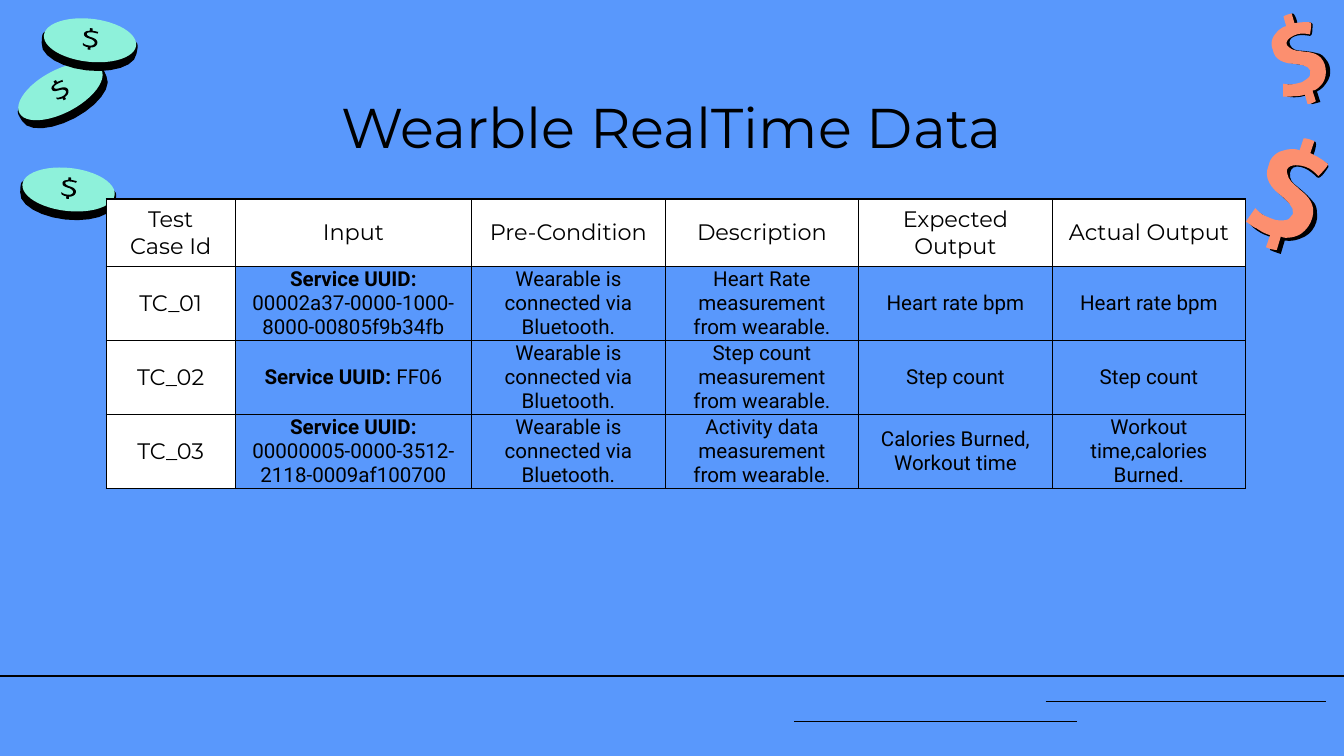
"""Build the wearable real-time data test case slide."""
from math import cos, radians, sin

from lxml import etree
from pptx import Presentation
from pptx.dml.color import RGBColor
from pptx.enum.shapes import MSO_CONNECTOR, MSO_SHAPE
from pptx.enum.text import MSO_ANCHOR, PP_ALIGN
from pptx.oxml.ns import qn
from pptx.util import Inches, Pt

CENTER, MIDDLE, TOP = PP_ALIGN.CENTER, MSO_ANCHOR.MIDDLE, MSO_ANCHOR.TOP
STRAIGHT, OVAL = MSO_CONNECTOR.STRAIGHT, MSO_SHAPE.OVAL
BLUE = RGBColor(0x59, 0x98, 0xFC)
MINT = RGBColor(0x8E, 0xF1, 0xDA)
CORAL = RGBColor(0xFC, 0x8F, 0x6F)
BLACK = RGBColor(0, 0, 0)
WHITE = RGBColor(255, 255, 255)

TITLE = "Wearble RealTime Data"
HEADERS = ["Test Case Id", "Input", "Pre-Condition", "Description", "Expected Output", "Actual Output"]
UUID_LABEL = "Service UUID: "
CONDITION = "Wearable is connected via Bluetooth."
CASES = [
    ("TC_01", "00002a37-0000-1000-8000-00805f9b34fb", CONDITION,
     "Heart Rate measurement from wearable.", "Heart rate bpm", "Heart rate bpm"),
    ("TC_02", "FF06", CONDITION,
     "Step count measurement from wearable.", "Step count", "Step count"),
    ("TC_03", "00000005-0000-3512-2118-0009af100700", CONDITION,
     "Activity data measurement from wearable.", "Calories Burned,\nWorkout time",
     "Workout time,calories Burned."),
]
COLUMN_WIDTHS = [0.96, 1.76] + [1.44] * 4
ROW_HEIGHTS = [0.47, 0.38, 0.41, 0.38]

RULES = [(0, 10, 5.03), (7.78, 9.87, 5.22), (5.91, 8.01, 5.37)]
COINS = [(0.45, 0.68, -27.9), (0.51, 1.41, 6.4), (0.67, 0.3, 6.4)]
DOLLARS = [(9.58, 1.45, 0, 1), (9.66, 0.45, -34.5, 0.79)]

COIN_EDGE = [
    (0, -10), (-14, -9.5, -28, -9, -34, -2), (-36, -1, -35, 4, -35, 6),
    (-35, 15, -19, 22, 0, 22), (19, 22, 35, 15, 35, 6),
    (35, 4, 36, -1, 34, -2), (28, -9, 14, -9.5, 0, -10),
]
COIN_SIGN = [
    (-1, -9), (-1, -7), (-4, -6.6, -5, -5.5, -5, -4.3), (-5, -2.5, -3.6, -1.6, 0.5, -1),
    (2.6, -0.3, 3.7, 0.6, 3.7, 1.6), (3.7, 3, 2, 4, 0, 4), (-2, 4, -4, 3.5, -5, 2.6),
    (-5, 4), (-4, 4.8, -2.5, 5.2, -1, 5.3), (-1, 7), (1, 7), (1, 5.3),
    (4, 5, 5.5, 3.5, 5.7, 1.4), (5.7, -0.4, 4, -1.6, 1.4, -2.2),
    (-1.5, -2.8, -3, -3.3, -2.9, -4.7), (-2.8, -5.6, -1, -6, 0.9, -6),
    (2.5, -6, 4, -5.8, 5, -5.5), (5.4, -6.8), (4, -7, 2.5, -7.2, 1, -7.3), (1, -9),
]
DOLLAR_FACE = [
    (12, -42), (9, -33), (7, -34, 5, -34, 3, -34), (0, -34, -3, -33, -6, -32),
    (-10, -30, -13, -27, -14, -22), (-17, -15, -15, -9, -9, -3), (-5, 1, 11, 11, 1, 18),
    (-1, 19, -3, 19, -4, 19), (-7, 19, -9, 19, -11, 18), (-14, 17, -16, 16, -18, 15),
    (-20, 14, -22, 12, -24, 10), (-31, 20), (-29, 21, -26, 24, -23, 25),
    (-20, 27, -17, 29, -13, 30), (-16, 39), (-14, 40, -11, 41, -8, 41), (-5, 31),
    (-3, 32, -2, 32, -1, 32), (3, 32, 7, 31, 10, 29), (16, 25, 20, 17, 19, 10),
    (18, 4, 14, 0, 9, -4), (6, -7, 1, -10, 0, -15), (-2, -20, 2, -22, 6, -22),
    (15, -22, 19, -18, 23, -14), (24, -15, 31, -22, 30, -23), (25, -27, 21, -29, 17, -31),
    (20, -40), (17, -41, 15, -42, 12, -42),
]
DOLLAR_SHADE = [
    (15, -40), (12, -31), (10, -31, 6, -32, 5, -32), (2, -32, 0, -31, -3, -30),
    (-9, -27, -13, -20, -13, -14), (-12, -3, -2, 2, 4, 9), (8, 15, 4, 21, -1, 21),
    (-9, 21, -16, 17, -21, 13), (-28, 22), (-23, 27, -18, 30, -10, 32), (-13, 41),
    (-11, 42, -8, 43, -5, 44), (-2, 34), (4, 35, 9, 33, 13, 31), (19, 28, 23, 20, 22, 14),
    (22, 10, 21, 7, 19, 5), (15, 0, 10, -4, 5, -8), (0, -12, 1, -21, 7, -21),
    (13, -21, 18, -17, 22, -13), (24, -11, 28, -17, 30, -20), (31, -21, 30, -22, 30, -23),
    (27, -25, 23, -27, 19, -29), (20, -31, 22, -37, 21, -39), (21, -40, 17, -40, 15, -40),
]


def flatten(outline, steps=6):
    """Turn lines (pairs) and cubic curves (sixes) into a list of points."""
    points = []
    for part in outline:
        if len(part) == 2:
            points.append(part)
            continue
        (x0, y0), (x1, y1, x2, y2, x3, y3) = points[-1], part
        for step in range(1, steps + 1):
            t = step / steps
            a, b, c, d = (1 - t) ** 3, 3 * t * (1 - t) ** 2, 3 * t * t * (1 - t), t ** 3
            points.append((a * x0 + b * x1 + c * x2 + d * x3, a * y0 + b * y1 + c * y2 + d * y3))
    return points


def paint(shape, color, outlined=False):
    """Give a shape a flat fill and an optional black line."""
    shape.shadow.inherit = False
    shape.fill.solid()
    shape.fill.fore_color.rgb = color
    if outlined:
        shape.line.color.rgb = BLACK
        shape.line.width = Pt(0.75)
    else:
        shape.line.fill.background()


def draw_outline(slide, outline, x, y, angle, color, scale=1, outlined=False):
    """Draw an outline, in hundredths of an inch, turned about the point x, y."""
    points = [(Inches(px * scale / 100), Inches(py * scale / 100)) for px, py in flatten(outline)]
    builder = slide.shapes.build_freeform(*points[0])
    builder.add_line_segments(points[1:], close=True)
    shape = builder.convert_to_shape()
    dx, dy = shape.left + shape.width / 2, shape.top + shape.height / 2
    c, s = cos(radians(angle)), sin(radians(angle))
    shape.left = int(Inches(x) + dx * c - dy * s - shape.width / 2)
    shape.top = int(Inches(y) + dx * s + dy * c - shape.height / 2)
    shape.rotation = angle
    paint(shape, color, outlined)


def style(paragraph, font, size):
    """Set centred black type on a paragraph."""
    paragraph.alignment = CENTER
    paragraph.font.name = font
    paragraph.font.size = Pt(size)
    paragraph.font.color.rgb = BLACK


def add_borders(cell):
    """Put thin black borders round a cell, ahead of its fill."""
    properties = cell._tc.get_or_add_tcPr()
    for index, side in enumerate(("a:lnL", "a:lnR", "a:lnT", "a:lnB")):
        border = etree.Element(qn(side), w=str(Pt(0.75)))
        fill = etree.SubElement(border, qn("a:solidFill"))
        etree.SubElement(fill, qn("a:srgbClr"), val=str(BLACK))
        properties.insert(index, border)


def add_cases(slide):
    """Add the table of test cases."""
    rows = [HEADERS] + CASES
    table = slide.shapes.add_table(
        len(rows), len(HEADERS), Inches(0.79), Inches(1.48),
        Inches(sum(COLUMN_WIDTHS)), Inches(sum(ROW_HEIGHTS))).table
    table.first_row = table.horz_banding = False
    for column, width in zip(table.columns, COLUMN_WIDTHS):
        column.width = Inches(width)
    for r, texts in enumerate(rows):
        table.rows[r].height = Inches(ROW_HEIGHTS[r])
        for c, text in enumerate(texts):
            cell = table.cell(r, c)
            heading = r == 0 or c == 0
            cell.vertical_anchor = MIDDLE
            cell.margin_left = cell.margin_right = Inches(0.1)
            cell.margin_top = cell.margin_bottom = Inches(0.05 if r == 0 else 0)
            if heading:
                cell.fill.solid()
                cell.fill.fore_color.rgb = WHITE
            else:
                cell.fill.background()
            if r and c == 1:
                label = cell.text_frame.paragraphs[0].add_run()
                label.text, label.font.bold = UUID_LABEL, True
                cell.text_frame.paragraphs[0].add_run().text = text
            else:
                cell.text_frame.text = text
            for paragraph in cell.text_frame.paragraphs:
                style(paragraph, *(("Montserrat", 12) if heading else ("Roboto", 11)))
            add_borders(cell)


def main():
    """Compose and save the slide."""
    deck = Presentation()
    deck.slide_width, deck.slide_height = Inches(10), Inches(10 * 9 / 16)
    slide = deck.slides.add_slide(deck.slide_layouts[6])
    slide.background.fill.solid()
    slide.background.fill.fore_color.rgb = BLUE

    for start, end, y in RULES:
        rule = slide.shapes.add_connector(STRAIGHT, Inches(start), Inches(y), Inches(end), Inches(y))
        rule.line.color.rgb = BLACK
        rule.line.width = Pt(0.75)
        etree.SubElement(rule._element.spPr, qn("a:effectLst"))

    for x, y, angle in COINS:
        draw_outline(slide, COIN_EDGE, x, y, angle, BLACK, outlined=True)
        face = slide.shapes.add_shape(
            OVAL, Inches(x - 0.69 / 2), Inches(y - 0.32 / 2), Inches(0.69), Inches(0.32))
        face.rotation = angle
        paint(face, MINT)
        draw_outline(slide, COIN_SIGN, x, y, angle, BLACK)

    for x, y, angle, scale in DOLLARS:
        draw_outline(slide, DOLLAR_SHADE, x, y, angle, BLACK, scale)
        draw_outline(slide, DOLLAR_FACE, x, y, angle, CORAL, scale)

    title = slide.shapes.add_textbox(Inches(0.79), Inches(0.59), Inches(8.42), Inches(0.63)).text_frame
    title.word_wrap, title.vertical_anchor = True, TOP
    title.margin_left = title.margin_right = title.margin_top = title.margin_bottom = Inches(0.1)
    title.text = TITLE
    style(title.paragraphs[0], "Montserrat", 30)

    add_cases(slide)
    deck.save("out.pptx")


if __name__ == "__main__":
    main()
